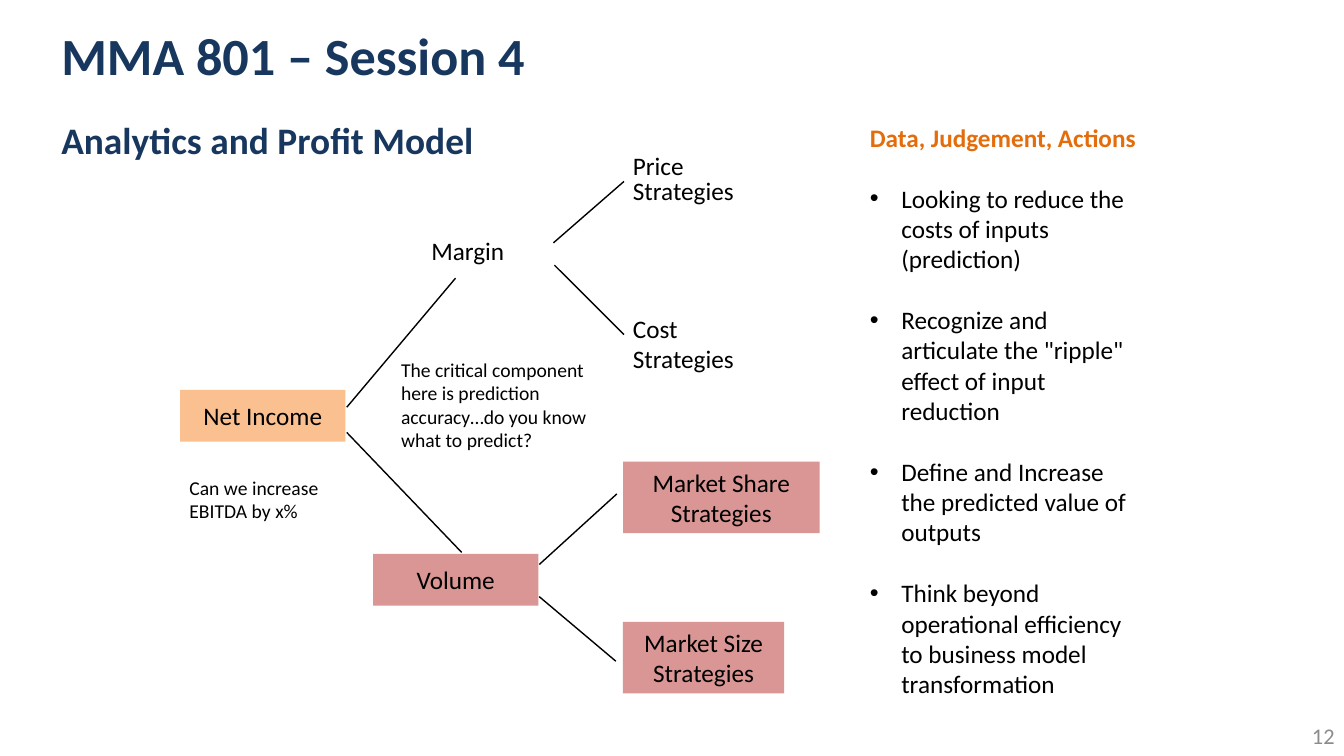
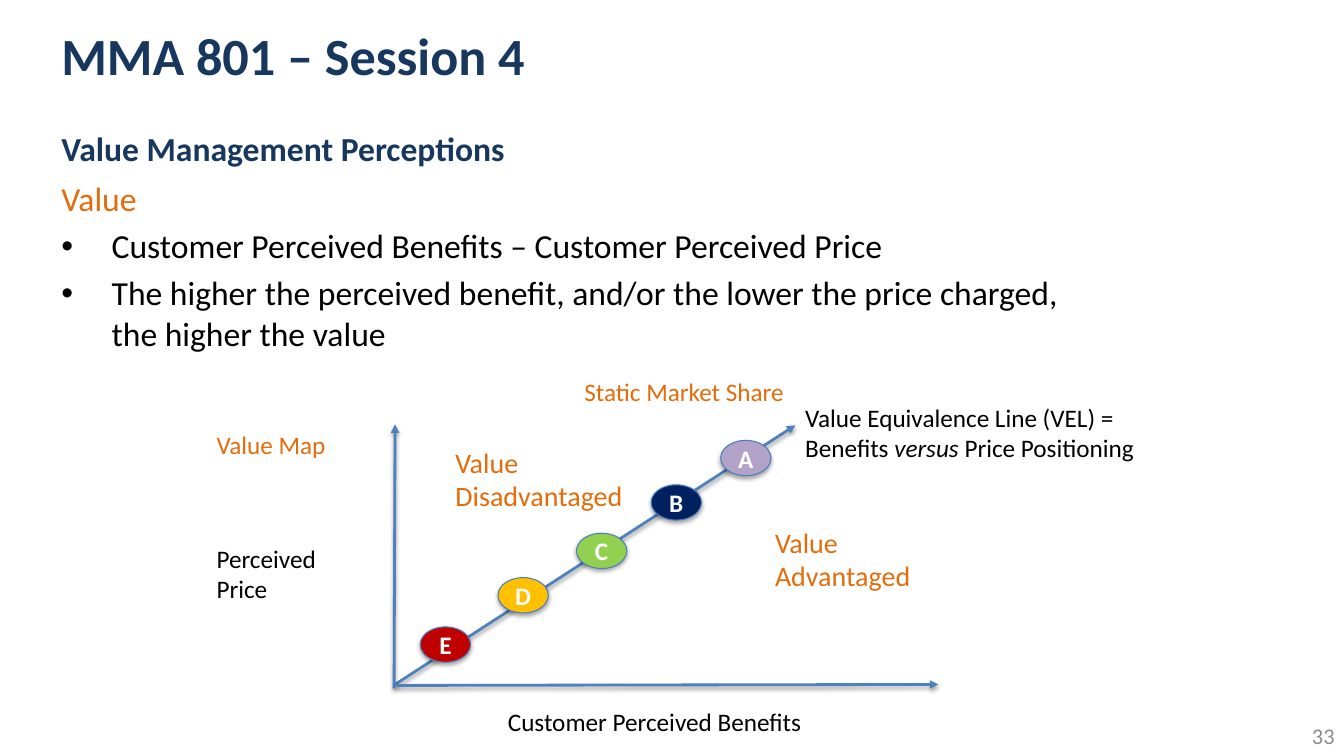
from dataclasses import dataclass

from lxml.etree import SubElement
from pptx import Presentation
from pptx.dml.color import RGBColor
from pptx.enum.shapes import MSO_CONNECTOR, MSO_SHAPE
from pptx.enum.text import MSO_ANCHOR, PP_ALIGN
from pptx.oxml.ns import qn
from pptx.util import Pt


@dataclass(frozen=True)
class Theme:
    font: str = "Calibri"
    navy: str = "17375E"
    orange: str = "E46C0A"
    black: str = "000000"
    white: str = "FFFFFF"
    gray: str = "8C8C8C"
    peach: str = "FAC090"
    rose: str = "D99694"
    blue: str = "4F81BD"
    outline: str = "4B7EBC"
    title: float = 37.3
    heading: float = 26.7
    body: float = 24
    region: float = 20
    label: float = 18
    number: float = 16
    remark: float = 14


THEME = Theme()


def set_values(target, values):
    for name, value in values.items():
        setattr(target, name, value)


def rgb(color):
    return RGBColor.from_string(color)


def add_run(paragraph, text, size, color, bold, italic=False):
    run = paragraph.add_run()
    run.text = text
    set_values(run.font, {"name": THEME.font, "size": Pt(size), "bold": bold, "italic": italic})
    run.font.color.rgb = rgb(color)


def add_bullet(paragraph, indent):
    properties = paragraph._p.get_or_add_pPr()
    properties.set("marL", str(Pt(indent)))
    properties.set("indent", str(-Pt(indent)))
    SubElement(properties, qn("a:buFont"), typeface="Arial")
    SubElement(properties, qn("a:buChar"), char="•")


def write(paragraph, text, size=THEME.label, color=THEME.black, bold=False, indent=0, **layout):
    if indent:
        add_bullet(paragraph, indent)
    set_values(paragraph, layout)
    for index, line in enumerate(text.split("\n")):
        if index:
            paragraph.add_line_break()
        for part, words in enumerate(line.split("*")):
            add_run(paragraph, words, size, color, bold, italic=part % 2 == 1)


def add_text(slide, bounds, text, anchor=MSO_ANCHOR.TOP, **style):
    frame = slide.shapes.add_textbox(*map(Pt, bounds)).text_frame
    set_values(frame, {"word_wrap": True, "vertical_anchor": anchor})
    write(frame.paragraphs[0], text, **style)
    return frame


def add_bullets(frame, texts, indent, gap, size):
    for text in texts:
        write(frame.add_paragraph(), text, size=size, indent=indent, space_before=Pt(gap))


def add_shadow(effects, opacity, distance):
    shadow = SubElement(effects, qn("a:outerShdw"), blurRad=str(Pt(3.1)),
                        dist=str(Pt(distance)), dir="5400000", rotWithShape="0")
    color = SubElement(shadow, qn("a:srgbClr"), val=THEME.black)
    SubElement(color, qn("a:alpha"), val=str(opacity * 1000))


def add_node(slide, kind, bounds, fill, text, outline=None, **style):
    shape = slide.shapes.add_shape(kind, *map(Pt, bounds))
    shape.shadow.inherit = False
    shape.fill.solid()
    shape.fill.fore_color.rgb = rgb(fill)
    if outline:
        shape.line.color.rgb = rgb(outline)
        shape.line.width = Pt(0.75)
    else:
        shape.line.fill.background()
    frame = shape.text_frame
    set_values(frame, {"word_wrap": True, "vertical_anchor": MSO_ANCHOR.MIDDLE,
                       "margin_left": 0, "margin_right": 0})
    write(frame.paragraphs[0], text, alignment=PP_ALIGN.CENTER, **style)
    return shape


def add_line(slide, points, color=THEME.black, width=1):
    line = slide.shapes.add_connector(MSO_CONNECTOR.STRAIGHT, *map(Pt, points))
    line.line.color.rgb = rgb(color)
    line.line.width = Pt(width)
    return line, SubElement(line._element.spPr, qn("a:effectLst"))


def add_arrow(slide, points):
    line, effects = add_line(slide, points, THEME.blue, 2)
    SubElement(line.line._get_or_add_ln(), qn("a:tailEnd"), type="triangle")
    add_shadow(effects, 38, 1.6)


def add_marker(slide, letter, left, top, fill):
    marker = add_node(slide, MSO_SHAPE.OVAL, (left, top, 36, 25.2), fill, letter,
                      THEME.outline, color=THEME.white, bold=True)
    add_shadow(marker._element.spPr.find(qn("a:effectLst")), 35, 1.8)


def add_slide(presentation, number):
    slide = presentation.slides.add_slide(presentation.slide_layouts[6])
    add_text(slide, (36.7, 5, 788, 67.7), "MMA 801 – Session 4", MSO_ANCHOR.MIDDLE,
             size=THEME.title, color=THEME.navy, bold=True)
    add_text(slide, (843, 511.2, 117.4, 28.8), number, MSO_ANCHOR.MIDDLE,
             size=THEME.number, color=THEME.gray, alignment=PP_ALIGN.RIGHT)
    return slide


def build_profit_model(presentation):
    slide = add_slide(presentation, "12")
    add_text(slide, (36.7, 80, 560, 45), "Analytics and Profit Model",
             size=THEME.heading, color=THEME.navy, bold=True)
    nodes = [
        ((128.7, 278.5, 118, 37), THEME.peach, "Net Income"),
        ((266.5, 395.7, 118, 37), THEME.rose, "Volume"),
        ((445, 329.8, 140.4, 51.1), THEME.rose, "Market Share\nStrategies"),
        ((445, 444.2, 115.2, 51.1), THEME.rose, "Market Size\nStrategies"),
    ]
    for bounds, fill, text in nodes:
        add_node(slide, MSO_SHAPE.RECTANGLE, bounds, fill, text)
    branches = [
        (247.7, 290.9, 325.4, 198.7),
        (247.7, 308.9, 329.8, 394.6),
        (395.3, 173.5, 445.7, 129.6),
        (396, 189.4, 445.7, 239),
        (385.2, 403.2, 440.6, 352.8),
        (385.2, 426.2, 439.9, 472.3),
    ]
    for branch in branches:
        add_line(slide, branch)
    add_text(slide, (301, 164.9, 80, 28.8), "Margin")
    add_text(slide, (445, 107.3, 115.9, 43.9), "Price Strategies", line_spacing=Pt(18))
    add_text(slide, (445, 220.3, 115.9, 51.1), "Cost Strategies")
    remarks = [
        ((128.2, 336.2, 146.9, 41), "Can we increase EBITDA by x%"),
        ((279.4, 252, 156.2, 74.9),
         "The critical component here is prediction accuracy…do you know what to predict?"),
    ]
    for bounds, text in remarks:
        add_text(slide, bounds, text, size=THEME.remark)
    actions = add_text(slide, (614.2, 83.5, 207.4, 422), "Data, Judgement, Actions",
                       color=THEME.orange, bold=True)
    add_bullets(actions, [
        "Looking to reduce the costs of inputs (prediction)",
        'Recognize and articulate the "ripple" effect of input reduction',
        "Define and Increase the predicted value of outputs",
        "Think beyond operational efficiency to business model transformation",
    ], indent=22.5, gap=22, size=THEME.label)


def build_value_map(presentation):
    slide = add_slide(presentation, "33")
    add_text(slide, (36.7, 80, 590.4, 51), "Value Management Perceptions", MSO_ANCHOR.MIDDLE,
             size=THEME.body, color=THEME.navy, bold=True)
    value = add_text(slide, (36.7, 123.8, 889, 140), "Value",
                     size=THEME.body, color=THEME.orange)
    add_bullets(value, [
        "Customer Perceived Benefits – Customer Perceived Price",
        "The higher the perceived benefit, and/or the lower the price charged,\n"
        "the higher the value",
    ], indent=36, gap=4.8, size=THEME.body)
    arrows = [
        (282.2, 488.9, 568.1, 303.8),
        (281.5, 491.8, 282.2, 303.1),
        (282.2, 489.6, 670.3, 488.9),
    ]
    for arrow in arrows:
        add_arrow(slide, arrow)
    markers = [
        ("E", 300.2, 447.8, "C00000"),
        ("D", 355.7, 412.6, "FFC000"),
        ("C", 411.8, 380.9, "92D050"),
        ("B", 465.1, 346.3, "002060"),
        ("A", 514.8, 314.6, "B3A2C7"),
    ]
    for marker in markers:
        add_marker(slide, *marker)
    labels = [
        ((147.6, 384.5, 118, 51.1), "Perceived Price", THEME.label, THEME.black),
        ((355.7, 501.1, 264.2, 28.8), "Customer Perceived Benefits", THEME.label, THEME.black),
        ((568.1, 283.7, 251.3, 51.1),
         "Value Equivalence Line (VEL) = Benefits *versus* Price Positioning",
         THEME.label, THEME.black),
        ((147.6, 303.1, 110.2, 28.8), "Value Map", THEME.label, THEME.orange),
        ((410.4, 265, 182.2, 28.8), "Static Market Share", THEME.label, THEME.orange),
        ((318.2, 314.6, 138.2, 55.4), "Value Disadvantaged", THEME.region, THEME.orange),
        ((546.5, 371.5, 138.2, 55.4), "Value Advantaged", THEME.region, THEME.orange),
    ]
    for bounds, text, size, color in labels:
        add_text(slide, bounds, text, size=size, color=color)


def main():
    presentation = Presentation()
    set_values(presentation, {"slide_width": Pt(960), "slide_height": Pt(540)})
    build_profit_model(presentation)
    build_value_map(presentation)
    presentation.save("out.pptx")


if __name__ == "__main__":
    main()
